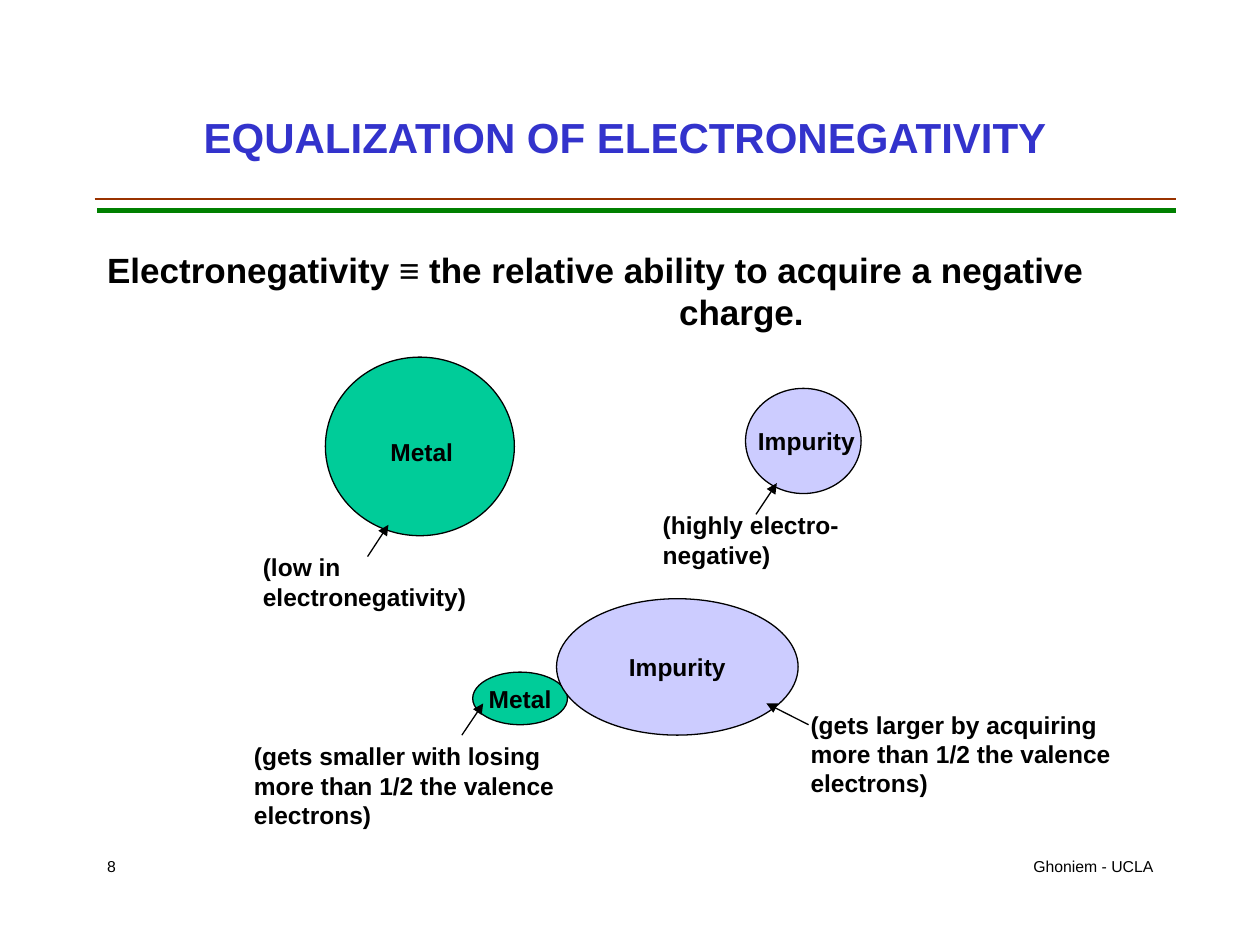
from dataclasses import dataclass

import lxml.etree
import pptx
import pptx.dml.color
import pptx.enum.shapes
import pptx.enum.text
import pptx.oxml.ns
import pptx.util

Cm = pptx.util.Cm
Align = pptx.enum.text.PP_ALIGN
Anchor = pptx.enum.text.MSO_ANCHOR


@dataclass(frozen=True)
class Theme:
    font: str = "Arial"
    ink: str = "000000"
    title: str = "3333CC"
    thin_rule: str = "993300"
    thick_rule: str = "008000"
    metal: str = "00CC99"
    impurity: str = "CCCCFF"
    title_size: int = 24
    definition_size: int = 20
    label_size: int = 14
    footer_size: int = 9
    outline: float = 0.75


THEME = Theme()


def color(value):
    return pptx.dml.color.RGBColor.from_string(value)


def write_text(shape, text, size, ink=THEME.ink, bold=True, align=Align.LEFT,
               anchor=Anchor.TOP, wrap=True):
    frame = shape.text_frame
    frame.word_wrap = wrap
    frame.vertical_anchor = anchor
    paragraph = frame.paragraphs[0]
    paragraph.alignment = align
    run = paragraph.add_run()
    run.text = text
    run.font.name = THEME.font
    run.font.size = pptx.util.Pt(size)
    run.font.bold = bold
    run.font.color.rgb = color(ink)
    return paragraph


def add_text(slide, box, text, size=THEME.label_size, **style):
    shape = slide.shapes.add_textbox(*map(Cm, box))
    return write_text(shape, text, size, **style)


def add_definition(slide, box, text, hanging):
    paragraph = add_text(slide, box, text, THEME.definition_size)
    properties = paragraph._p.get_or_add_pPr()
    properties.set("marL", str(Cm(hanging)))
    properties.set("indent", str(-Cm(hanging)))


def add_atom(slide, box, fill, text=None):
    shape = slide.shapes.add_shape(
        pptx.enum.shapes.MSO_SHAPE.OVAL, *map(Cm, box))
    shape.shadow.inherit = False
    shape.fill.solid()
    shape.fill.fore_color.rgb = color(fill)
    shape.line.color.rgb = color(THEME.ink)
    shape.line.width = pptx.util.Pt(THEME.outline)
    if text:
        write_text(shape, text, THEME.label_size, align=Align.CENTER,
                   anchor=Anchor.MIDDLE, wrap=False)


def add_line(slide, ends, ink=THEME.ink, width=THEME.outline, arrow=False):
    connector = slide.shapes.add_connector(
        pptx.enum.shapes.MSO_CONNECTOR.STRAIGHT, *map(Cm, ends))
    connector.line.color.rgb = color(ink)
    connector.line.width = pptx.util.Pt(width)
    if arrow:
        lxml.etree.SubElement(connector.line._get_or_add_ln(),
                              pptx.oxml.ns.qn("a:tailEnd"), type="triangle")
    lxml.etree.SubElement(connector._element.spPr,
                          pptx.oxml.ns.qn("a:effectLst"))


def add_frame(slide):
    add_line(slide, (1.91, 4.01, 23.7, 4.01), THEME.thin_rule, 1)
    add_line(slide, (1.96, 4.24, 23.7, 4.24), THEME.thick_rule, 3)
    add_text(slide, (1.91, 1.7, 21.39, 2.11),
             "EQUALIZATION OF ELECTRONEGATIVITY", THEME.title_size,
             ink=THEME.title, align=Align.CENTER, anchor=Anchor.MIDDLE)
    add_text(slide, (15.45, 17.15, 8.05, 0.84), "Ghoniem - UCLA",
             THEME.footer_size, bold=False, align=Align.RIGHT)
    add_text(slide, (1.91, 17.15, 5.5, 0.84), "8",
             THEME.footer_size, bold=False)


def add_separate_atoms(slide):
    add_atom(slide, (6.56, 7.2, 3.81, 3.6), THEME.metal)
    add_atom(slide, (15.03, 7.83, 2.33, 2.12), THEME.impurity)
    add_text(slide, (7.62, 8.68, 2.33, 0.86), "Metal")
    add_text(slide, (15.03, 8.47, 2.46, 0.86), "Impurity", wrap=False)
    add_line(slide, (7.41, 11.22, 7.83, 10.58), arrow=True)
    add_text(slide, (5.05, 11.01, 6.3, 0.86), "(low in electronegativity)",
             wrap=False)
    add_line(slide, (15.24, 10.37, 15.66, 9.74), arrow=True)
    add_text(slide, (13.11, 10.16, 6.22, 0.86), "(highly electro-negative)",
             wrap=False)


def add_bonded_atoms(slide):
    add_atom(slide, (9.53, 13.55, 1.91, 1.06), THEME.metal, "Metal")
    add_atom(slide, (11.22, 12.07, 4.87, 2.75), THEME.impurity, "Impurity")
    add_line(slide, (9.31, 14.82, 9.74, 14.18), arrow=True)
    add_text(slide, (4.87, 14.82, 6.56, 2.03),
             "(gets smaller with losing more than 1/2 the valence electrons)")
    add_line(slide, (16.3, 14.61, 15.45, 14.18), arrow=True)
    add_text(slide, (16.09, 14.18, 7.41, 2.03),
             "(gets larger by acquiring more than 1/2 the valence electrons)")


def main():
    presentation = pptx.Presentation()
    presentation.slide_width = Cm(25.4)
    presentation.slide_height = Cm(19.05)
    slide = presentation.slides.add_slide(presentation.slide_layouts[6])
    add_frame(slide)
    add_definition(
        slide, (1.91, 4.88, 21.79, 1.96),
        "Electronegativity ≡ the relative ability to acquire a negative charge.",
        hanging=11.53)
    add_separate_atoms(slide)
    add_bonded_atoms(slide)
    presentation.save("out.pptx")


if __name__ == "__main__":
    main()
